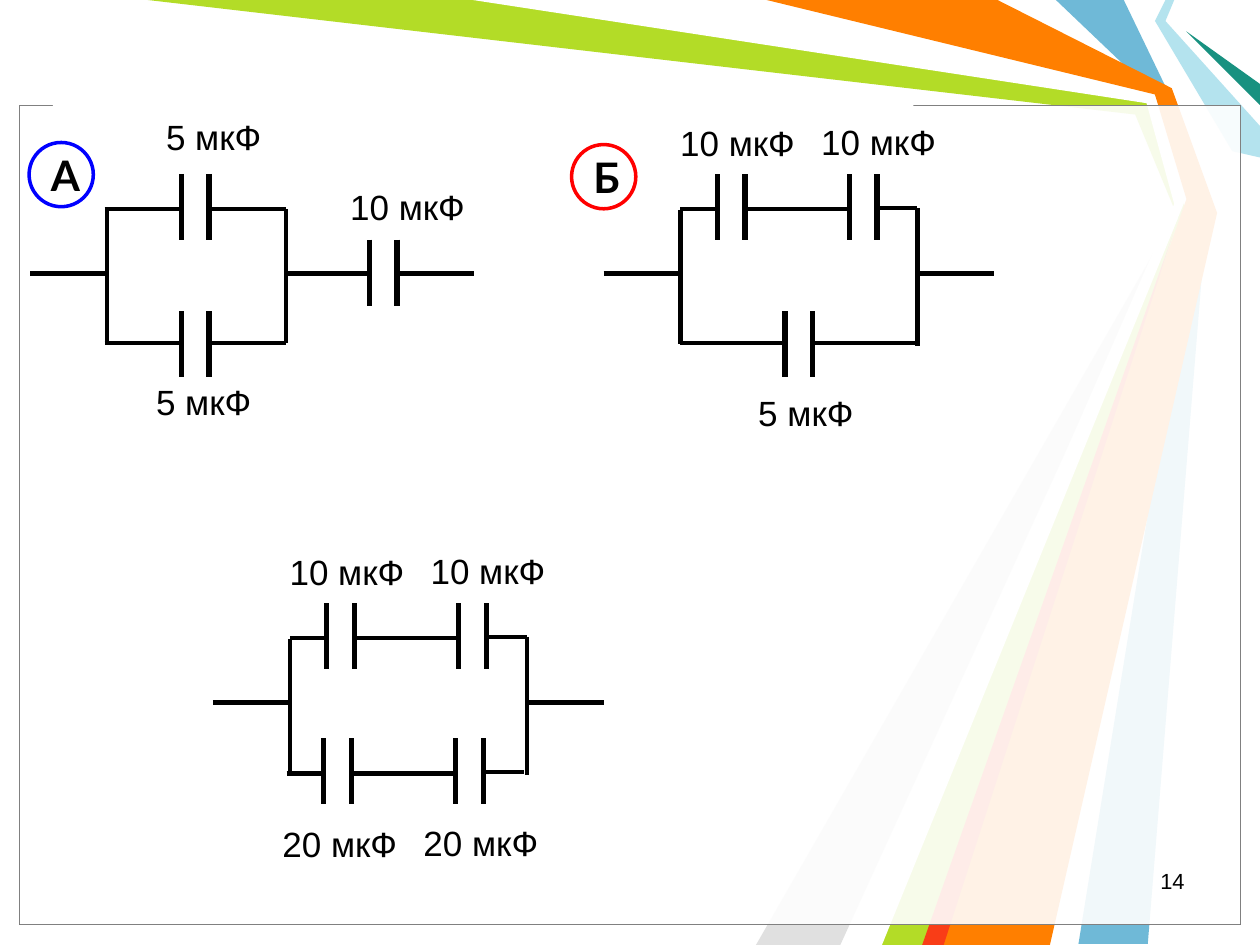
"""Build a slide with three capacitor circuits."""
from dataclasses import dataclass

from lxml.etree import SubElement
from pptx import Presentation
from pptx.dml.color import RGBColor
from pptx.enum.shapes import MSO_CONNECTOR, MSO_SHAPE
from pptx.enum.text import MSO_ANCHOR, MSO_AUTO_SIZE, PP_ALIGN
from pptx.oxml.ns import qn
from pptx.util import Pt


@dataclass(frozen=True)
class Theme:
    """Colours, fonts and sizes of the slide."""
    ink: str = "000000"
    paper: str = "FFFFFF"
    frame: str = "808080"
    blue: str = "0000FF"
    red: str = "FF0000"
    sky: str = "6FB9D7"
    lime: str = "B3DC27"
    ash: str = "E0E0E0"
    ice: str = "B4E3EE"
    teal: str = "189180"
    orange: str = "FF7F00"
    flame: str = "F93D17"
    font: str = "Arial"
    bold: str = "Lato"
    label: float = 20
    badge: float = 24
    page: float = 12.5
    wire: float = 2.5
    plate: float = 3
    ring: float = 2
    edge: float = 0.75
    gap: float = 15.8
    height: float = 37.7


class Pen:
    """Draw styled parts on the current slide."""

    def __init__(self, slide, theme):
        """Keep the slide and its theme."""
        self.shapes = slide.shapes
        self.theme = theme

    def paint(self, shape, fill=None, line=None, width=0):
        """Set fill and line, and drop the shadow."""
        shape.shadow.inherit = False
        if fill:
            shape.fill.solid()
            shape.fill.fore_color.rgb = RGBColor.from_string(fill)
        else:
            shape.fill.background()
        if line:
            shape.line.color.rgb = RGBColor.from_string(line)
            shape.line.width = Pt(width)
        else:
            shape.line.fill.background()

    def ray(self, fill, *dots):
        """Draw a filled outline through the dots."""
        dots = [(Pt(x), Pt(y)) for x, y in dots]
        build = self.shapes.build_freeform(*dots[0], scale=1.0)
        build.add_line_segments(dots[1:], close=True)
        self.paint(build.convert_to_shape(), fill)

    def rect(self, x, y, w, h, line=None, alpha=None):
        """Draw a white box, clear in part if alpha is given."""
        box = self.shapes.add_shape(MSO_SHAPE.RECTANGLE, Pt(x), Pt(y), Pt(w), Pt(h))
        self.paint(box, self.theme.paper, line, self.theme.edge)
        if alpha:
            tint = box.element.spPr.find(qn("a:solidFill"))[0]
            SubElement(tint, qn("a:alpha")).set("val", str(alpha * 1000))

    def style(self, frame, text, size, font, bold=False, align=PP_ALIGN.LEFT):
        """Fill a text frame and format its run."""
        frame.text = text
        part = frame.paragraphs[0]
        part.alignment = align
        face = part.runs[0].font
        face.size, face.name, face.bold = Pt(size), font, bold
        face.color.rgb = RGBColor.from_string(self.theme.ink)

    def label(self, x, y, text):
        """Write a value beside its part."""
        width = 80 if len(text) > 5 else 70
        frame = self.shapes.add_textbox(Pt(x), Pt(y), Pt(width), Pt(31.7)).text_frame
        frame.word_wrap = False
        frame.auto_size = MSO_AUTO_SIZE.SHAPE_TO_FIT_TEXT
        self.style(frame, text, self.theme.label, self.theme.font)

    def page(self, x, y, w, h, text):
        """Write the page number."""
        frame = self.shapes.add_textbox(Pt(x), Pt(y), Pt(w), Pt(h)).text_frame
        frame.word_wrap = True
        self.style(frame, text, self.theme.page, self.theme.font, align=PP_ALIGN.RIGHT)
        frame.paragraphs[0].line_spacing = 0.8

    def badge(self, x, y, text, line):
        """Draw a ringed letter."""
        ring = self.shapes.add_shape(MSO_SHAPE.OVAL, Pt(x), Pt(y), Pt(36.7), Pt(36.7))
        self.paint(ring, None, line, self.theme.ring)
        frame = ring.text_frame
        frame.vertical_anchor = MSO_ANCHOR.MIDDLE
        self.style(frame, text, self.theme.badge, self.theme.bold, True, PP_ALIGN.CENTER)

    def line(self, x, y, right, low, width):
        """Draw a straight line."""
        line = self.shapes.add_connector(
            MSO_CONNECTOR.STRAIGHT, Pt(x), Pt(y), Pt(right), Pt(low))
        line.line.color.rgb = RGBColor.from_string(self.theme.ink)
        line.line.width = Pt(width)
        SubElement(line.element.spPr, qn("a:effectLst"))

    def across(self, y, *spans):
        """Draw level wires at one height."""
        for start, end in spans:
            self.line(start, y, end, y, self.theme.wire)

    def down(self, x, top, low):
        """Draw an upright wire."""
        self.line(x, top, x, low, self.theme.wire)

    def cell(self, x, y):
        """Draw the two plates of a capacitor."""
        for plate in (x, x + self.theme.gap):
            self.line(plate, y, plate, y + self.theme.height, self.theme.plate)

    def branch(self, x, y, text, left, top):
        """Draw two cells in a row with their labels."""
        for step in (21.1, 96.5):
            self.cell(x + step, y - 20)
        self.across(y, (x, x + 21.1), (x + 36.9, x + 96.5))
        self.across(y - 0.7, (x + 113.8, x + 135.4))
        self.label(left, top, text)
        self.label(left + 80.6, top - 0.7, text)

    def loop(self, x, y, text):
        """Draw the upper branch, both rails and the leads."""
        right = x + 135.4
        self.branch(x, y, text, x - 7.2, y - 53.7)
        self.down(x, y + 0.7, y + 77)
        self.down(right, y - 0.7, y + 78.2)
        self.across(y + 36.9, (x - 43.9, x), (right, right + 43.9))


def decor(pen):
    """Draw the rays and the framed panel."""
    hue = pen.theme
    pen.ray(hue.sky, (642.2, 0), (668.9, 55.4), (689.8, 120.2), (655.9, 539.3),
            (616.3, 539.3), (684, 120.2), (660, 54), (603.4, 0))
    pen.ray(hue.lime, (84.2, 0), (275.8, 0), (658.1, 56.2), (678.2, 121.7),
            (534.2, 540), (498.2, 540), (673.2, 124.6), (648.7, 65.5))
    pen.ray(hue.ash, (480.2, 540), (667.4, 130.3), (432, 540))
    pen.ray(hue.paper, (270, 0), (655.2, 59), (671, 116.6), (486, 540),
            (504, 540), (677.5, 113.8), (660, 54), (432, 0))
    pen.ray(hue.ice, (666, 0), (660, 12), (704.2, 86.4), (720, 90),
            (720, 72), (666, 12), (671, 0))
    pen.ray(hue.teal, (720, 60), (678, 18), (720, 48))
    pen.ray(hue.orange, (438, 0), (570, 0), (669.6, 50.4), (695.5, 121.7),
            (600, 540), (528, 540), (678, 113.8), (660, 54))
    pen.ray(hue.flame, (527, 540), (671, 131.8), (539.3, 540))
    for line in (hue.ink, hue.frame):
        pen.rect(11.3, 60.3, 697.7, 468, line, 69)
    pen.rect(30.2, 53.3, 491.8, 12.2)


def first(pen):
    """Draw circuit A."""
    for x, y in ((103.6, 99.4), (103.6, 177.8), (211, 136.9)):
        pen.cell(x, y)
    for y in (119.5, 195.9):
        pen.across(y, (59.8, 103.6), (119.4, 163.4))
    for x in (61.2, 163.4):
        pen.down(x, 119.5, 195.9)
    pen.across(156.4, (17.3, 61.2), (163.4, 211), (226.8, 270.7))
    pen.badge(16.6, 81.4, "А", pen.theme.blue)
    pen.label(87.8, 62.6, "5 мкФ")
    pen.label(82.1, 213.8, "5 мкФ")
    pen.label(193, 102.2, "10 мкФ")


def second(pen):
    """Draw circuit B."""
    pen.loop(388.8, 119.5, "10 мкФ")
    pen.cell(448.6, 177.8)
    pen.across(195.9, (388.8, 448.6), (464.4, 524.2))
    pen.badge(326.6, 82.6, "Б", pen.theme.red)
    pen.label(426.2, 220.3, "5 мкФ")


def third(pen):
    """Draw the lower circuit."""
    pen.loop(165.6, 364.6, "10 мкФ")
    pen.branch(163.8, 442, "20 мкФ", 154.3, 466.6)


def main():
    """Make and save the deck."""
    deck = Presentation()
    deck.slide_width, deck.slide_height = Pt(720), Pt(540)
    pen = Pen(deck.slides.add_slide(deck.slide_layouts[6]), Theme())
    decor(pen)
    pen.page(516.2, 494.9, 167.8, 23.8, "14")
    for draw in (first, second, third):
        draw(pen)
    deck.save("out.pptx")


if __name__ == "__main__":
    main()
